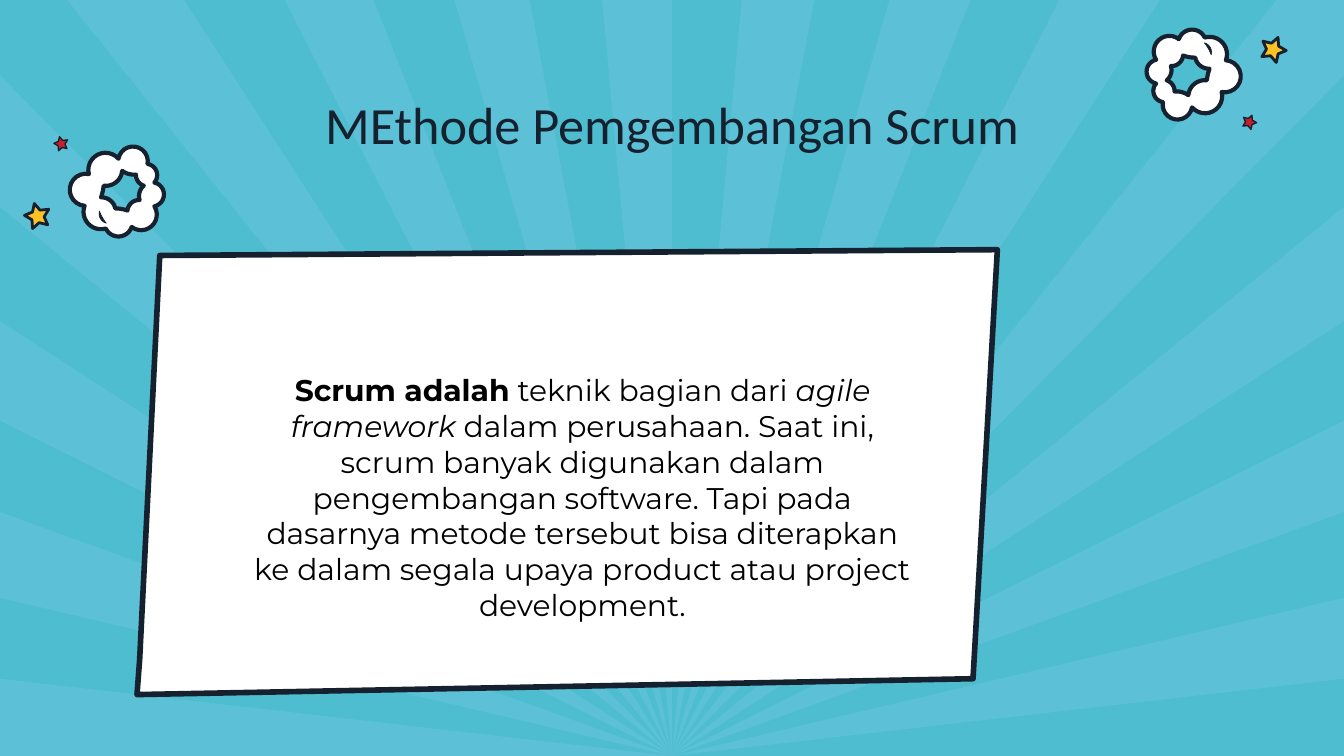
from math import atan2, cos, pi, radians, sin

from pptx import Presentation
from pptx.dml.color import RGBColor
from pptx.enum.text import MSO_ANCHOR, PP_ALIGN
from pptx.util import Cm, Pt

WIDTH, HEIGHT = 25.4, 14.29
SKY, RAY, INK, WHITE = "4EBDCF", "5CC1D6", "162130", "FFFFFF"
GOLD, RED = "FDC324", "CC1D2D"

# Where the ray edges meet the left side and the left half of the top
SIDE_EDGES = [HEIGHT, 12.83, 11.3, 9.68, 7.95, 6.07, 3.91, 1.42]
TOP_EDGES = [1.27, 3.48, 5.38, 7.06, 8.59, 10.01, 11.38, WIDTH / 2]

PANEL = [(3.02, 4.83), (18.85, 4.72), (18.39, 12.83), (2.59, 13.13), (2.64, 12.47)]

# Arc chains: a joint, a point on the arc, the next joint, and so on
CLOUD_RIM = [
    (2.24, 3.0), (2.51, 2.77), (2.79, 3.1), (2.97, 3.28), (2.92, 3.45), (3.1, 3.67),
    (2.92, 3.9), (2.9, 4.24), (2.49, 4.29), (2.24, 4.47), (2.0, 4.32), (1.68, 4.24),
    (1.6, 3.89), (1.32, 3.61), (1.68, 3.29), (1.75, 3.0),
]
CLOUD_HOLE = [
    (2.31, 3.23), (2.24, 3.4), (1.96, 3.51), (1.94, 3.63), (1.91, 3.73), (2.11, 3.81),
    (2.18, 3.94), (2.3, 3.95), (2.41, 3.98), (2.46, 3.86), (2.64, 3.78), (2.64, 3.63),
    (2.72, 3.51), (2.61, 3.43), (2.57, 3.3), (2.44, 3.29),
]
CLOUD_CREASE = [(1.88, 3.99), (1.94, 4.12), (2.01, 4.22), (1.89, 4.12)]

BODY = [
    ("Scrum adalah", True, False),
    (" teknik bagian dari ", False, False),
    ("agile framework", False, True),
    (" dalam perusahaan. Saat ini, scrum banyak digunakan dalam pengembangan software. "
     "Tapi pada dasarnya metode tersebut bisa diterapkan ke dalam segala upaya product "
     "atau project development.", False, False),
]


def color(hex_string):
    return RGBColor.from_string(hex_string)


def add_outline(slide, contours, fill, line_width=None):
    """Draw closed contours, given in centimetres, as one shape."""
    emu_contours = [[(Cm(x), Cm(y)) for x, y in contour] for contour in contours]
    builder = slide.shapes.build_freeform(*emu_contours[0][0])
    for index, (start, *rest) in enumerate(emu_contours):
        if index:
            builder.move_to(*start)
        builder.add_line_segments(rest, close=True)
    shape = builder.convert_to_shape()
    shape.shadow.inherit = False
    shape.fill.solid()
    shape.fill.fore_color.rgb = color(fill)
    if line_width:
        shape.line.color.rgb = color(INK)
        shape.line.width = Pt(line_width)
    else:
        shape.line.fill.background()


def arc(start, middle, end, steps=12):
    """Points of the circular arc through three points, without the last."""
    a, b, c = complex(*start), complex(*middle), complex(*end)
    ratio = (c - a) / (b - a)
    center = a + (b - a) * (ratio - abs(ratio) ** 2) / (2j * ratio.imag)
    turn = (c - center) / (a - center)
    sweep = atan2(turn.imag, turn.real) % (2 * pi)
    if ratio.imag < 0:
        sweep -= 2 * pi
    angles = [sweep * step / steps for step in range(steps)]
    points = [center + (a - center) * complex(cos(t), sin(t)) for t in angles]
    return [(point.real, point.imag) for point in points]


def arc_chain(chain):
    closed = chain + chain[:1]
    return [point for i in range(0, len(chain), 2) for point in arc(*closed[i:i + 3])]


def star(center_x, center_y, radius, tip_angle=-104):
    points = []
    for corner in range(10):
        reach = radius if corner % 2 == 0 else radius / 2
        angle = radians(tip_angle + 36 * corner)
        points.append((center_x + reach * cos(angle), center_y + reach * sin(angle)))
    return points


def half_turn(contour):
    """Turn the left decoration into its place at the top right."""
    return [(24.77 - x, 5.03 - y) for x, y in contour]


def add_rays(slide):
    left = [(0, y) for y in SIDE_EDGES] + [(x, 0) for x in TOP_EDGES]
    edges = left + [(WIDTH - x, y) for x, y in reversed(left[:-1])]
    for start, end in zip(edges[::2], edges[1::2]):
        turns_corner = start[1] == 0 and end[1] > 0
        corner = [(WIDTH, 0)] if turns_corner else []
        add_outline(slide, [[(WIDTH / 2, HEIGHT), start, *corner, end]], RAY)


def add_burst(slide, place):
    parts = [
        ([star(0.71, 4.09, 0.25)], GOLD, 1.5),
        ([star(1.16, 2.72, 0.14)], RED, 0.75),
        ([arc_chain(CLOUD_RIM), arc_chain(CLOUD_HOLE)], WHITE, 2.25),
        ([arc_chain(CLOUD_CREASE)], INK, 0.31),
    ]
    for contours, fill, line_width in parts:
        add_outline(slide, [place(contour) for contour in contours], fill, line_width)


def add_text(slide, box, runs, font_name, size, font_color):
    frame = slide.shapes.add_textbox(*[Cm(length) for length in box]).text_frame
    frame.word_wrap = True
    frame.vertical_anchor = MSO_ANCHOR.TOP
    frame.margin_left = frame.margin_right = Cm(0.25)
    frame.margin_top = frame.margin_bottom = Cm(0.25)
    paragraph = frame.paragraphs[0]
    paragraph.alignment = PP_ALIGN.CENTER
    for text, bold, italic in runs:
        run = paragraph.add_run()
        run.text = text
        run.font.name = font_name
        run.font.size = Pt(size)
        run.font.bold = bold
        run.font.italic = italic
        run.font.color.rgb = color(font_color)


def main():
    presentation = Presentation()
    presentation.slide_width = Cm(WIDTH)
    presentation.slide_height = Cm(HEIGHT)
    slide = presentation.slides.add_slide(presentation.slide_layouts[6])

    # Sunburst background
    slide.background.fill.solid()
    slide.background.fill.fore_color.rgb = color(SKY)
    add_rays(slide)

    # Title and definition panel
    title = [("MEthode Pemgembangan Scrum", False, False)]
    add_text(slide, (4.09, 1.5, 17.22, 2.77), title, "Calibri", 28, INK)
    add_outline(slide, [PANEL], WHITE, 3)
    add_text(slide, (4.42, 6.78, 13.18, 3.07), BODY, "Montserrat", 16, "000000")

    # Clouds with stars
    for place in (list, half_turn):
        add_burst(slide, place)

    presentation.save("out.pptx")


if __name__ == "__main__":
    main()
